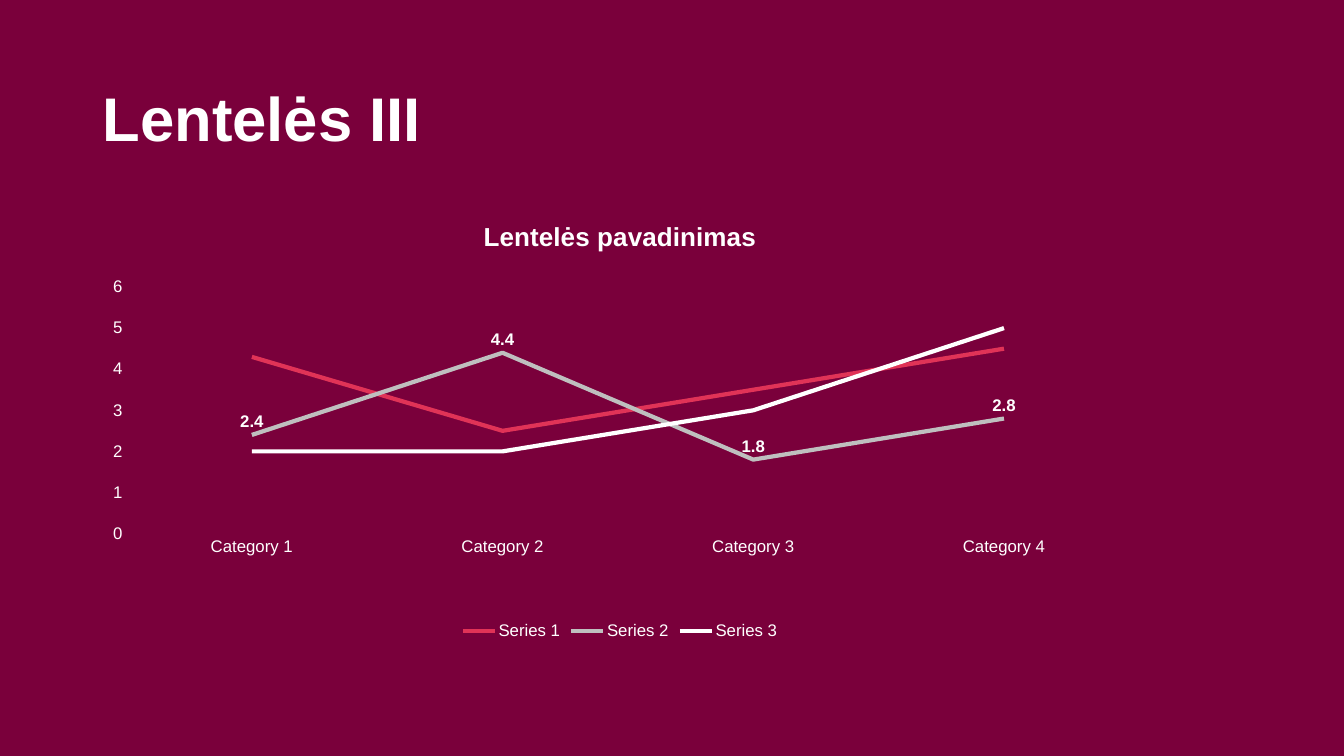
from dataclasses import dataclass

from lxml import etree
from pptx import Presentation
from pptx.chart.data import CategoryChartData
from pptx.dml.color import RGBColor
from pptx.enum import chart as c, text as t
from pptx.oxml import ns
from pptx.util import Inches, Pt


@dataclass(frozen=True)
class Theme:
    font: str = "Arial"
    background: str = "7A003B"
    text: str = "FFFFFF"
    lines: tuple = ("E03357", "BFBFBF", "FFFFFF")
    line_width: float = 3
    title_size: float = 44
    chart_title_size: float = 18.6
    label_size: float = 12


THEME = Theme()
CATEGORIES = [f"Category {number}" for number in range(1, 5)]
SERIES = {
    "Series 1": (4.3, 2.5, 3.5, 4.5),
    "Series 2": (2.4, 4.4, 1.8, 2.8),
    "Series 3": (2, 2, 3, 5),
}
LABELLED_SERIES = "Series 2"
PLOT_AREA = {"x": 0.032, "y": 0.195, "w": 0.951, "h": 0.556}


def style_font(font, size, bold=False):
    font.name = THEME.font
    font.size = Pt(size)
    font.bold = bold
    font.color.rgb = RGBColor.from_string(THEME.text)


def add_title(slide, words):
    box = slide.shapes.add_textbox(
        Inches(0.92), Inches(0.78), Inches(9.77), Inches(1.45))
    frame = box.text_frame
    frame.word_wrap = True
    frame.vertical_anchor = t.MSO_ANCHOR.TOP
    frame.margin_top = Inches(0.1)
    frame.text = words
    paragraph = frame.paragraphs[0]
    paragraph.line_spacing = 0.9
    style_font(paragraph.runs[0].font, THEME.title_size, bold=True)


def set_plot_area(chart):
    """Fix the inner plot area as fractions of the chart frame."""
    plot_area = chart._chartSpace.chart.plotArea
    for old_layout in plot_area.findall(ns.qn("c:layout")):
        plot_area.remove(old_layout)
    layout = etree.Element(ns.qn("c:layout"))
    manual = etree.SubElement(layout, ns.qn("c:manualLayout"))
    settings = {"layoutTarget": "inner", "xMode": "edge", "yMode": "edge",
                **PLOT_AREA}
    for name, value in settings.items():
        etree.SubElement(manual, ns.qn(f"c:{name}")).set("val", str(value))
    plot_area.insert(0, layout)


def style_axis(axis):
    axis.has_major_gridlines = False
    axis.major_tick_mark = axis.minor_tick_mark = c.XL_TICK_MARK.NONE
    axis.format.line.fill.background()
    style_font(axis.tick_labels.font, THEME.label_size)


def style_series(series, color):
    series.smooth = False
    series.marker.style = c.XL_MARKER_STYLE.NONE
    series.format.line.color.rgb = RGBColor.from_string(color)
    series.format.line.width = Pt(THEME.line_width)
    if series.name == LABELLED_SERIES:
        labels = series.data_labels
        labels.show_value = True
        labels.position = c.XL_LABEL_POSITION.ABOVE
        style_font(labels.font, THEME.label_size, bold=True)


def add_line_chart(slide, title):
    data = CategoryChartData()
    data.categories = CATEGORIES
    for name, values in SERIES.items():
        data.add_series(name, values)
    chart = slide.shapes.add_chart(
        c.XL_CHART_TYPE.LINE, Inches(0.92), Inches(1.99),
        Inches(10.46), Inches(4.4), data).chart
    style_font(chart.font, THEME.label_size)

    # Chart title and legend
    chart.has_title = True
    chart.chart_title.include_in_layout = False
    frame = chart.chart_title.text_frame
    frame.text = title
    style_font(frame.paragraphs[0].runs[0].font,
               THEME.chart_title_size, bold=True)
    chart.has_legend = True
    chart.legend.position = c.XL_LEGEND_POSITION.BOTTOM
    chart.legend.include_in_layout = False
    style_font(chart.legend.font, THEME.label_size)

    # Axes
    for axis in (chart.category_axis, chart.value_axis):
        style_axis(axis)
    chart.value_axis.minimum_scale = 0
    chart.value_axis.maximum_scale = 6
    chart.value_axis.major_unit = 1

    # Lines
    plot = chart.plots[0]
    plot.vary_by_categories = False
    for series, color in zip(plot.series, THEME.lines):
        style_series(series, color)
    set_plot_area(chart)


def main():
    presentation = Presentation()
    presentation.slide_width = Inches(13.33)
    presentation.slide_height = Inches(7.5)
    slide = presentation.slides.add_slide(presentation.slide_layouts[6])
    fill = slide.background.fill
    fill.solid()
    fill.fore_color.rgb = RGBColor.from_string(THEME.background)

    add_title(slide, "Lentelės III")
    add_line_chart(slide, "Lentelės pavadinimas")
    presentation.save("out.pptx")


if __name__ == "__main__":
    main()
